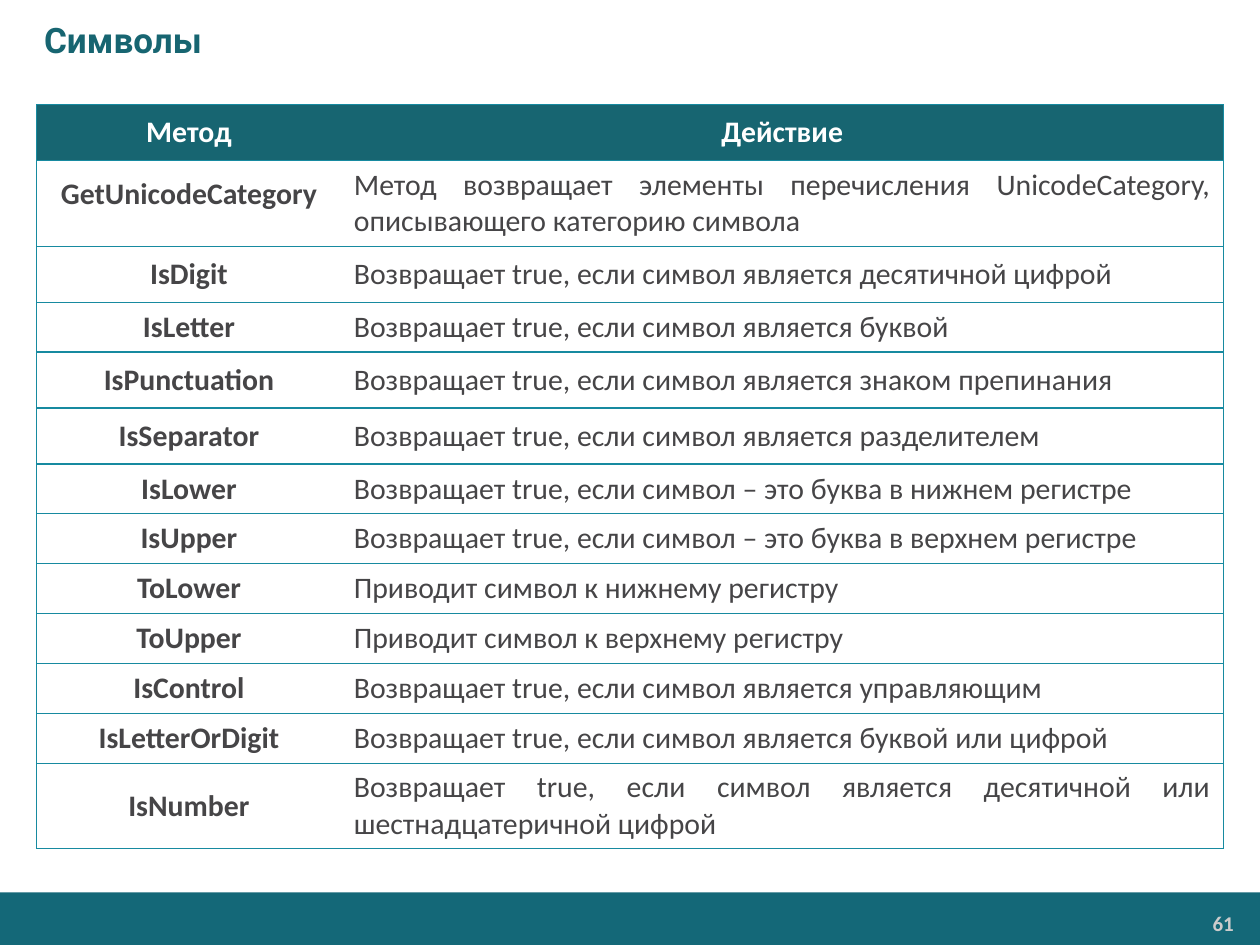
from lxml.etree import SubElement
from pptx import Presentation
from pptx.dml.color import RGBColor
from pptx.enum.shapes import MSO_SHAPE as Shape
from pptx.enum.text import MSO_ANCHOR as Anchor, PP_ALIGN as Align
from pptx.oxml.ns import qn
from pptx.util import Pt


def paint(target, color):
    if hasattr(target, "solid"):
        target.solid()
        target = target.fore_color
    target.rgb = RGBColor.from_string(color)


def write(frame, text, size=17, color="464547", bold=False, font="Calibri",
          align=Align.LEFT, anchor=Anchor.MIDDLE):
    frame.word_wrap = True
    frame.vertical_anchor = anchor
    paragraph = frame.paragraphs[0]
    paragraph.alignment = align
    run = paragraph.add_run()
    run.text = text
    run.font.name = font
    run.font.size = Pt(size)
    run.font.bold = bold
    paint(run.font.color, color)
    return paragraph


TEAL = "176571"
BORDER = "178AA0"
METHODS = [
    ("Метод", "Действие", 32),
    ("GetUnicodeCategory", "Метод возвращает элементы перечисления UnicodeCategory, описывающего категорию символа", 49),
    ("IsDigit", "Возвращает true, если символ является десятичной цифрой", 32),
    ("IsLetter", "Возвращает true, если символ является буквой", 28.5),
    ("IsPunctuation", "Возвращает true, если символ является знаком препинания", 32),
    ("IsSeparator", "Возвращает true, если символ является разделителем", 32),
    ("IsLower", "Возвращает true, если символ – это буква в нижнем регистре", 28.5),
    ("IsUpper", "Возвращает true, если символ – это буква в верхнем регистре", 28.5),
    ("ToLower", "Приводит символ к нижнему регистру", 28.5),
    ("ToUpper", "Приводит символ к верхнему регистру", 28.5),
    ("IsControl", "Возвращает true, если символ является управляющим", 28.5),
    ("IsLetterOrDigit", "Возвращает true, если символ является буквой или цифрой", 28.5),
    ("IsNumber", "Возвращает true, если символ является десятичной или шестнадцатеричной цифрой", 49),
]

deck = Presentation()
deck.slide_width, deck.slide_height = Pt(720), Pt(540)
slide = deck.slides.add_slide(deck.slide_layouts[6])

footer = slide.shapes.add_shape(Shape.RECTANGLE, 0, Pt(510), Pt(720), Pt(30))
footer.shadow.inherit = False
paint(footer.fill, "146878")
footer.line.fill.background()

page_number = slide.shapes.add_textbox(Pt(592.5), Pt(517.5), Pt(117.5), Pt(20)).text_frame
page_number.margin_left = page_number.margin_right = Pt(5)
page_number.margin_top = page_number.margin_bottom = Pt(2.8)
write(page_number, "61", size=12, color="CCCCCC", bold=True, align=Align.RIGHT, anchor=Anchor.TOP)

title = slide.shapes.add_textbox(0, 0, Pt(720), Pt(45)).text_frame
title.margin_left = Pt(25.2)
write(title, "Символы", size=20, color=TEAL, bold=True, font="Roboto")

total_height = sum(height for _, _, height in METHODS)
methods = slide.shapes.add_table(len(METHODS), 2, Pt(21), Pt(59.75), Pt(678), Pt(total_height)).table
methods.columns[0].width, methods.columns[1].width = Pt(174), Pt(504)

for row, (method, action, height) in enumerate(METHODS):
    methods.rows[row].height = Pt(height)
    header = row == 0
    for column, text in enumerate((method, action)):
        cell = methods.cell(row, column)
        cell.vertical_anchor = Anchor.MIDDLE
        centered = header or column == 0
        align = Align.CENTER if centered else Align.JUSTIFY if height == 49 else Align.LEFT
        paragraph = write(cell.text_frame, text, color="FFFFFF" if header else "464547",
                          bold=centered, align=align)
        if text == "GetUnicodeCategory":
            cell.margin_left = cell.margin_right = Pt(5)
            cell.margin_top = cell.margin_bottom = 0
            paragraph.line_spacing = Pt(10)
            paragraph.space_after = Pt(2)

        inner_side = "R" if column == 0 else "L"
        for side in "LRTB":
            edge = SubElement(cell._tc.get_or_add_tcPr(), qn(f"a:ln{side}"), w=str(Pt(0.75)))
            if side == inner_side:
                SubElement(edge, qn("a:noFill"))
            else:
                SubElement(SubElement(edge, qn("a:solidFill")), qn("a:srgbClr"), val=BORDER)
        if header:
            paint(cell.fill, TEAL)
        else:
            cell.fill.background()

deck.save("out.pptx")
